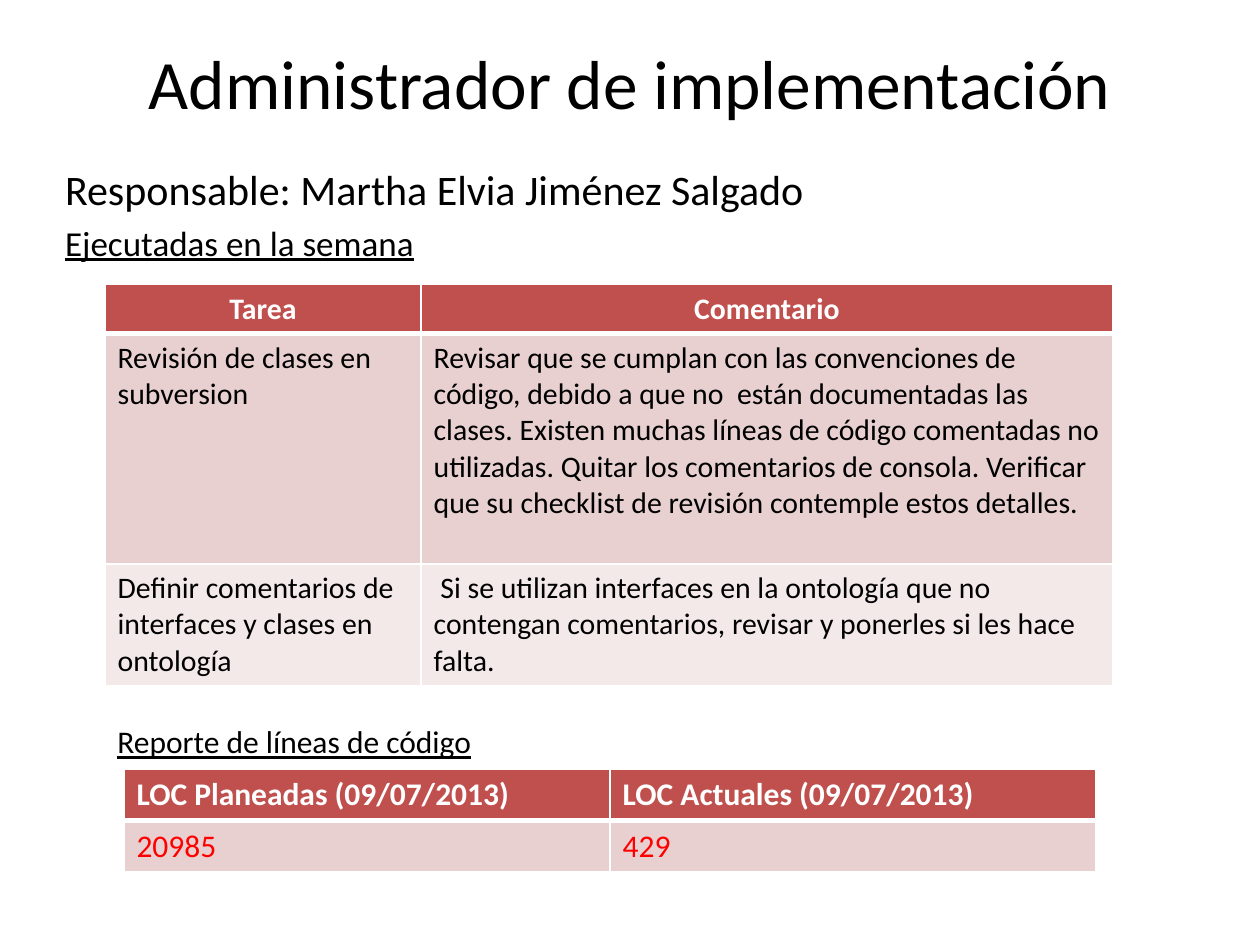
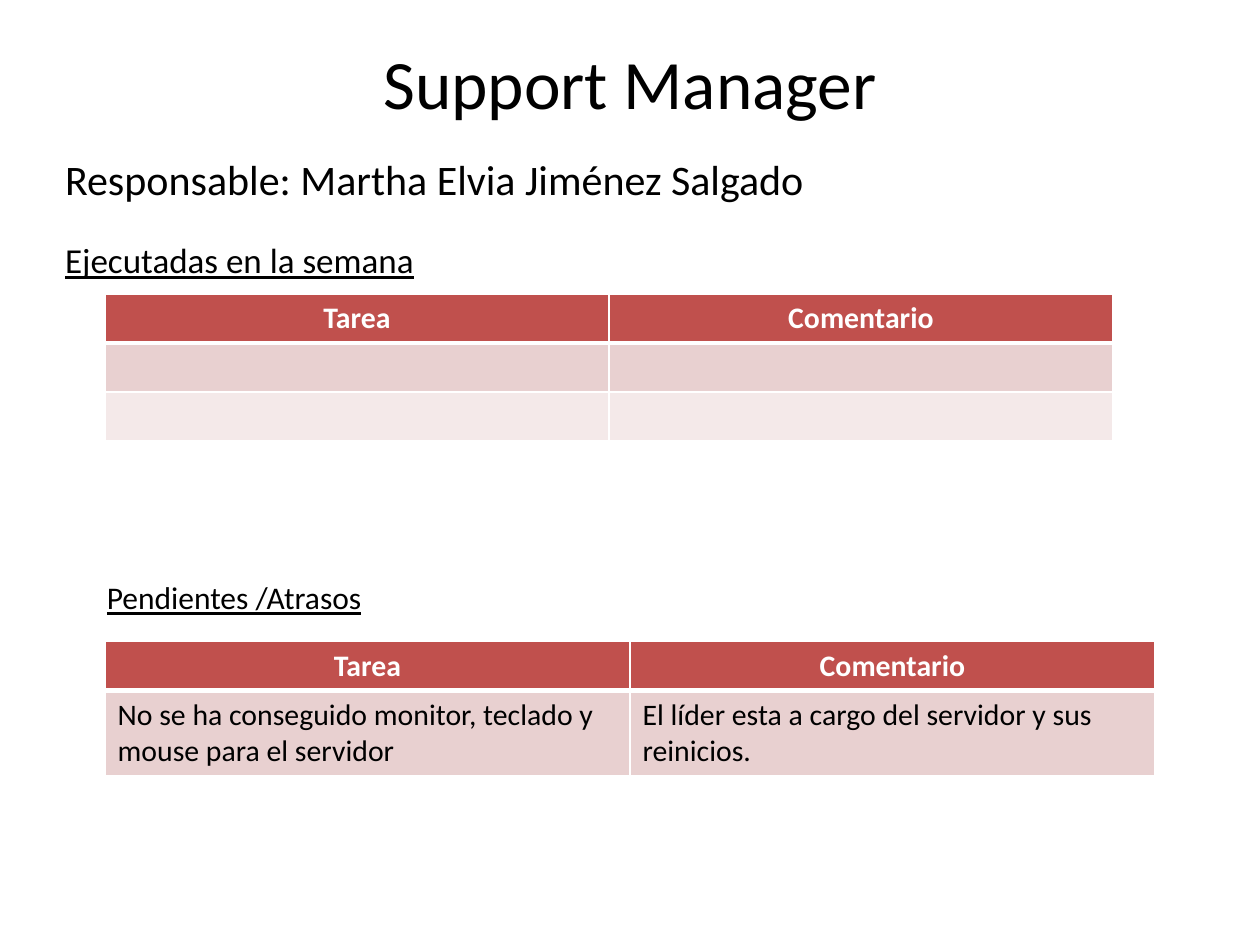
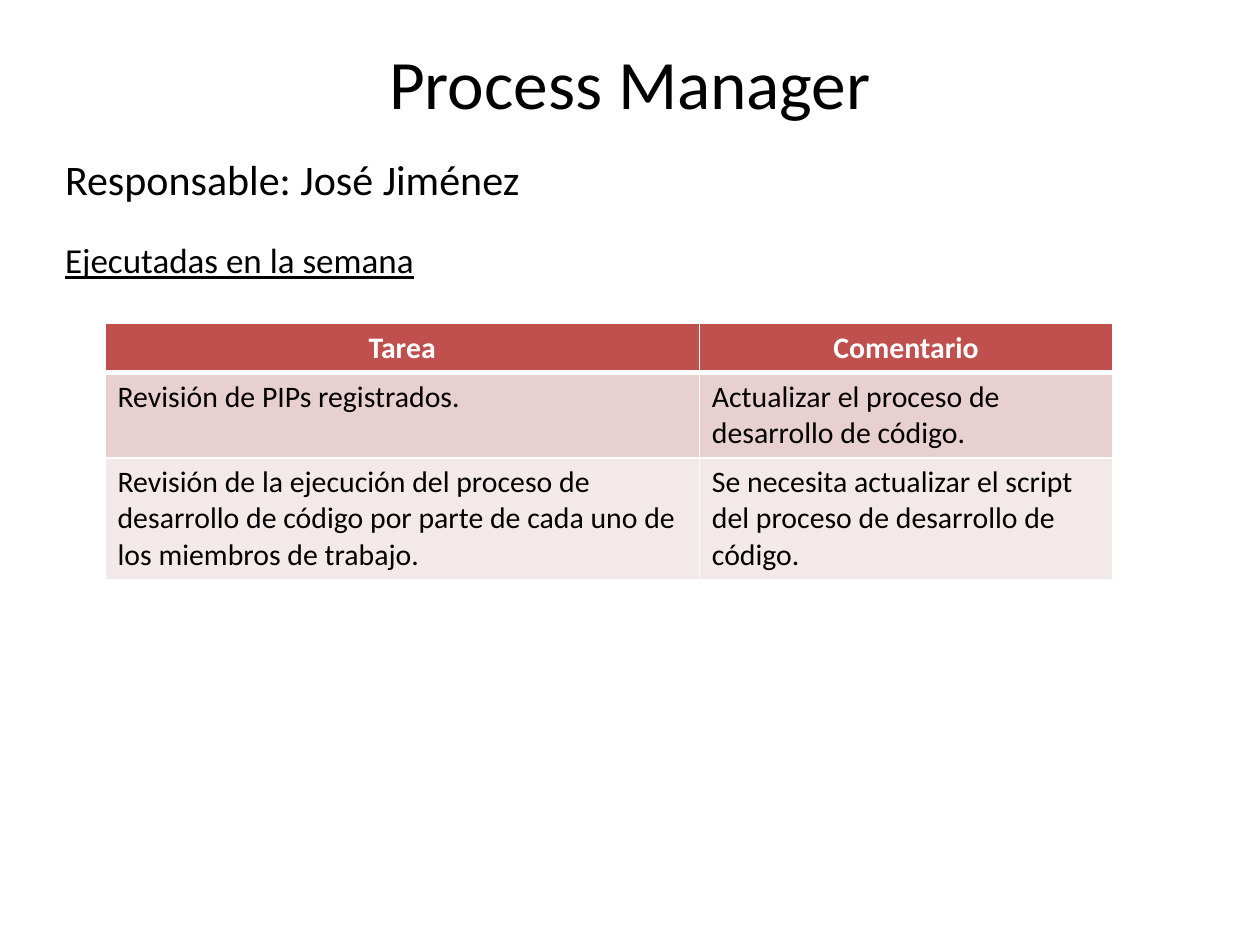
from dataclasses import dataclass

from lxml import etree
from pptx import Presentation
from pptx import util as u
from pptx.dml.color import RGBColor
from pptx.enum import text
from pptx.oxml.ns import qn

FONT = "Calibri"
BLACK, WHITE, RED = "000000", "FFFFFF", "FF0000"
HEADER, BANDS = "C0504D", ("E8D0D0", "F4E9E9")
COLS, ROWS = 120, 90  # square grid cells over the slide
WIDTH, HEIGHT = u.Inches(10), u.Inches(7.5)
HANG = u.Inches(0.38)
TASK_HEADINGS = ("Tarea", "Comentario")
DONE = "Ejecutadas en la semana"


@dataclass
class Grid:
    """A table; row_lines holds the number of text lines in each row."""
    left: float
    top: float
    cols: tuple[float, ...]
    row_lines: tuple[int, ...]
    body: tuple[tuple[str, str], ...]
    headings: tuple[str, str] = TASK_HEADINGS
    size: float = 17
    color: str = BLACK
    centered: bool = True


@dataclass
class Label:
    text: str
    left: float
    top: float
    width: float


@dataclass
class Report:
    title: str
    owner: str
    body_top: float
    body_height: float
    gap: float
    tables: tuple[Grid, ...]
    labels: tuple[Label, ...] = ()


REPORTS = (
    Report("Administrador de implementación", "Martha Elvia Jiménez Salgado", 15, 11, 4, (
        Grid(10, 27.1, (30.1, 65.9), (1, 6, 3), (
            ("Revisión de clases en subversion",
             "Revisar que se cumplan con las convenciones de código, debido a que no  están "
             "documentadas las clases. Existen muchas líneas de código comentadas no utilizadas. "
             "Quitar los comentarios de consola. Verificar que su checklist de revisión contemple "
             "estos detalles."),
            ("Definir comentarios de interfaces y clases en ontología",
             " Si se utilizan interfaces en la ontología que no contengan comentarios, revisar y "
             "ponerles si les hace falta."))),
        Grid(11.8, 73.3, (46.3, 46.3), (1, 1), (("20985", "429"),),
             ("LOC Planeadas (09/07/2013)", "LOC Actuales (09/07/2013)"), 18, RED, False)),
        (Label("Reporte de líneas de código", 10, 68.2, 36.6),)),
    Report("Support Manager", "Martha Elvia Jiménez Salgado", 14, 15, 20, (
        Grid(10, 28, (48, 48), (1, 1, 1), (("", ""), ("", ""))),
        Grid(10, 61.1, (50, 50), (1, 2), (
            ("No se ha conseguido monitor, teclado y mouse para el servidor",
             "El líder esta a cargo del servidor y sus reinicios."),))),
        (Label("Pendientes /Atrasos", 9, 54.5, 26.9),)),
    Report("Process Manager", "José Jiménez", 14, 15, 20, (
        Grid(10, 30.8, (56.6, 39.4), (1, 2, 3), (
            ("Revisión de PIPs registrados.", "Actualizar el proceso de desarrollo de código."),
            ("Revisión de la ejecución del proceso de desarrollo de código por parte de cada uno "
             "de los miembros de trabajo.",
             "Se necesita actualizar el script del proceso de desarrollo de código."))),)),
)


def rgb(color: str) -> RGBColor:
    return RGBColor.from_string(color)


def x(cols: float) -> int:
    return round(WIDTH * cols / COLS)


def y(rows: float) -> int:
    return round(HEIGHT * rows / ROWS)


def place(sp, left: float, top: float, width: float, height: float) -> None:
    sp.left, sp.top, sp.width, sp.height = x(left), y(top), x(width), y(height)


def write(p, words: str, *, size: float, color: str = BLACK, bold: bool = False,
          underline: bool = False, align=text.PP_ALIGN.LEFT, before: float = 0) -> None:
    """Write one formatted run, or only the line size when there are no words."""
    p.alignment, p.space_before = align, u.Pt(before)
    if not words:
        etree.SubElement(p._p, qn("a:endParaRPr"), sz=str(round(size * 100)))
        return
    r = p.add_run()
    r.text = words
    f = r.font
    f.name, f.size, f.bold, f.underline = FONT, u.Pt(size), bold, underline
    f.color.rgb = rgb(color)


def no_bullet(p) -> None:
    pPr = p._p.get_or_add_pPr()
    pPr.set("marL", str(HANG))
    pPr.set("indent", str(-HANG))
    etree.SubElement(pPr, qn("a:buNone"))


def set_borders(cell, **widths: float) -> None:
    """Draw white borders; the sides L, R, T and B take widths in points."""
    tcPr = cell._tc.get_or_add_tcPr()
    for side in "LRTB":
        ln = etree.SubElement(tcPr, qn(f"a:ln{side}"), w=str(u.Pt(widths.get(side, 1))))
        fill = etree.SubElement(ln, qn("a:solidFill"))
        etree.SubElement(fill, qn("a:srgbClr"), val=WHITE)


def add_grid(s, grid: Grid) -> None:
    heights = [u.Inches(n * grid.size * 1.22 / 72 + 0.1) for n in grid.row_lines]
    table = s.shapes.add_table(len(heights), len(grid.cols), x(grid.left), y(grid.top),
                               x(sum(grid.cols)), sum(heights)).table
    for column, width in zip(table.columns, grid.cols):
        column.width = x(width)
    for row, height in zip(table.rows, heights):
        row.height = height
    for i, words in enumerate((grid.headings, *grid.body)):
        head = i == 0
        for j, word in enumerate(words):
            cell = table.cell(i, j)
            set_borders(cell, **({"B": 3} if head else {"T": 3} if i == 1 else {}))
            cell.fill.solid()
            cell.fill.fore_color.rgb = rgb(HEADER if head else BANDS[(i - 1) % 2])
            align = text.PP_ALIGN.CENTER if head and grid.centered else text.PP_ALIGN.LEFT
            write(cell.text_frame.paragraphs[0], word, size=grid.size, bold=head,
                  color=WHITE if head else grid.color, align=align)


def add_label(s, label: Label) -> None:
    tf = s.shapes.add_textbox(x(label.left), y(label.top), x(label.width), y(4.8)).text_frame
    tf.word_wrap = False
    tf.auto_size = text.MSO_AUTO_SIZE.SHAPE_TO_FIT_TEXT
    write(tf.paragraphs[0], label.text, size=18, underline=True)


def add_report(prs, report: Report) -> None:
    s = prs.slides.add_slide(prs.slide_layouts[1])
    title, body = s.shapes.title, s.placeholders[1]
    place(title, 6, 3.6, 108, 8.4)
    place(body, 5, report.body_top, 112, report.body_height)
    for sp in (title, body):
        sp.text_frame.auto_size = text.MSO_AUTO_SIZE.NONE
    title.text_frame.vertical_anchor = text.MSO_ANCHOR.MIDDLE
    write(title.text_frame.paragraphs[0], report.title, size=39.6, align=text.PP_ALIGN.CENTER)

    owner, done = body.text_frame.paragraphs[0], body.text_frame.add_paragraph()
    for p in (owner, done):
        no_bullet(p)
    write(owner, f"Responsable: {report.owner}", size=24)
    write(done, DONE, size=20, underline=True, before=report.gap)

    for grid in report.tables:
        add_grid(s, grid)
    for label in report.labels:
        add_label(s, label)


def main() -> None:
    prs = Presentation()
    prs.slide_width, prs.slide_height = WIDTH, HEIGHT
    for report in REPORTS:
        add_report(prs, report)
    prs.save("out.pptx")


if __name__ == "__main__":
    main()
